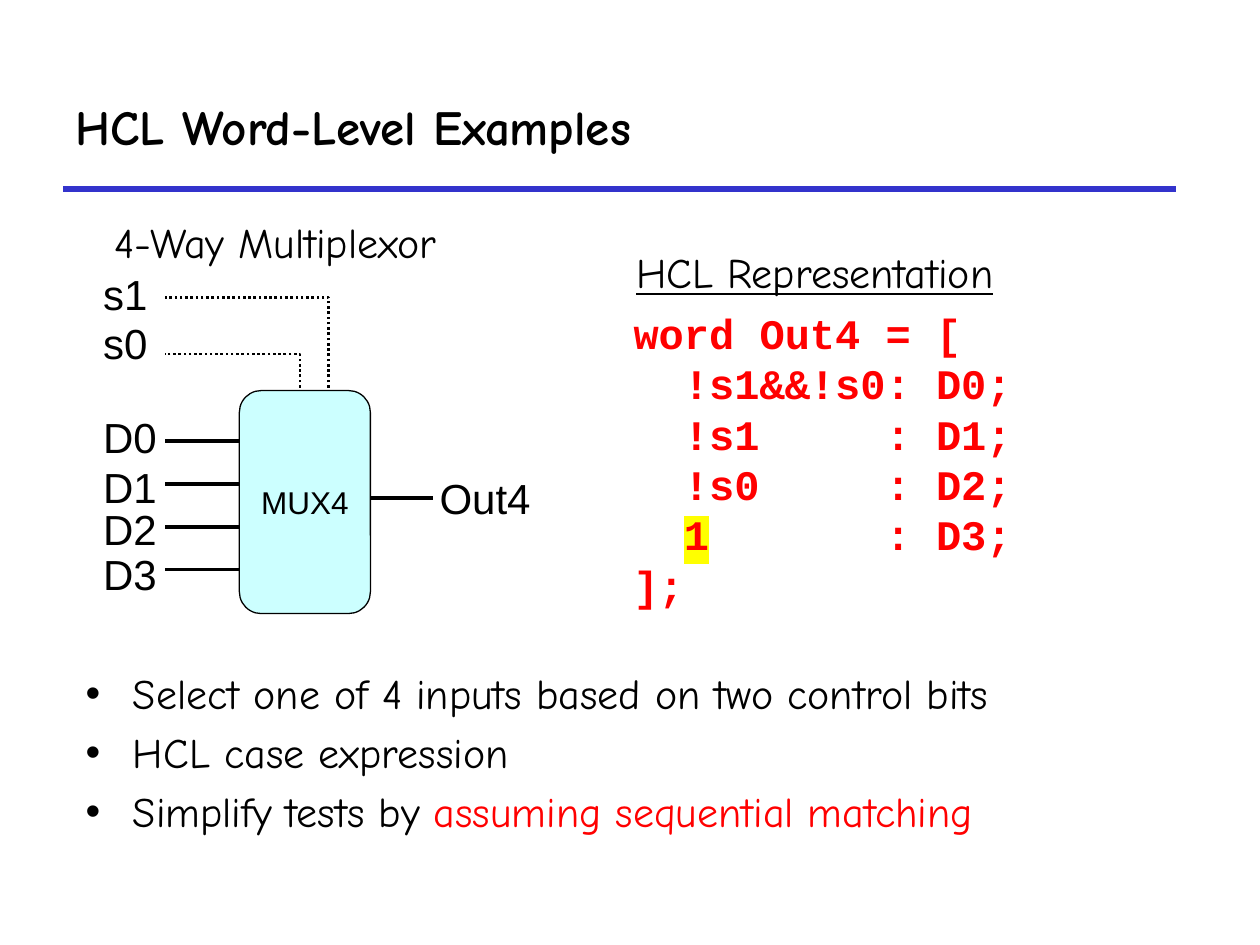
from dataclasses import dataclass

from lxml import etree
from pptx import Presentation
from pptx.dml.color import RGBColor
from pptx.enum.dml import MSO_LINE
from pptx.enum.shapes import MSO_CONNECTOR, MSO_SHAPE
from pptx.enum.text import MSO_ANCHOR, MSO_AUTO_SIZE, PP_ALIGN
from pptx.oxml.ns import qn
from pptx.util import Inches, Pt

STRAIGHT = MSO_CONNECTOR.STRAIGHT
ROUND_RECT = MSO_SHAPE.ROUNDED_RECTANGLE
DOTTED = MSO_LINE.ROUND_DOT
MIDDLE, TOP = MSO_ANCHOR.MIDDLE, MSO_ANCHOR.TOP
LEFT, CENTER = PP_ALIGN.LEFT, PP_ALIGN.CENTER
GROW, FIXED = MSO_AUTO_SIZE.SHAPE_TO_FIT_TEXT, MSO_AUTO_SIZE.NONE


@dataclass(frozen=True)
class Theme:
    ink: str = "000000"
    red: str = "FF0000"
    rule: str = "3333CC"
    block: str = "CCFFFF"
    marker: str = "FFFF00"
    hand: str = "Comic Neue"
    sans: str = "Arial"
    mono: str = "Courier New"
    title: int = 28
    text: int = 24
    small: int = 18


class Deck:
    """Holds the theme and the current slide."""

    def __init__(self, prs, theme):
        self.t = theme
        self.s = prs.slides.add_slide(prs.slide_layouts[1])

    def run(self, p, text, color=None, highlight=None, **fmt):
        r = p.add_run()
        r.text = text
        values = {"name": self.t.hand, "size": Pt(self.t.text), "bold": False, **fmt}
        for name, value in values.items():
            setattr(r.font, name, value)
        r.font.color.rgb = RGBColor.from_string(color or self.t.ink)
        if highlight:
            mark = etree.Element(qn("a:highlight"))
            etree.SubElement(mark, qn("a:srgbClr"), val=highlight)
            r.font.fill._xPr.find(qn("a:solidFill")).addnext(mark)

    def fill_frame(self, tf, lines, align=LEFT, **fmt):
        """Each line is a list of (text, format) runs."""
        for i, line in enumerate(lines):
            p = tf.paragraphs[0] if i == 0 else tf.add_paragraph()
            p.alignment = align
            if i == 0:
                p.space_before = Pt(0)
            for text, own in line:
                self.run(p, text, **{**fmt, **own})

    def placeholder(self, index, box, lines, anchor, **fmt):
        sp = self.s.placeholders[index]
        sp.left, sp.top, sp.width, sp.height = map(Inches, box)
        tf = sp.text_frame
        tf.auto_size, tf.vertical_anchor = FIXED, anchor
        self.fill_frame(tf, lines, **fmt)

    def text(self, box, lines, inset=0.1, **fmt):
        tf = self.s.shapes.add_textbox(*map(Inches, box)).text_frame
        tf.word_wrap, tf.auto_size = False, GROW
        tf.margin_left = tf.margin_right = Inches(inset)
        self.fill_frame(tf, lines, **fmt)

    def line(self, x1, y1, x2, y2, color, width):
        c = self.s.shapes.add_connector(STRAIGHT, *map(Inches, (x1, y1, x2, y2)))
        c.line.color.rgb = RGBColor.from_string(color)
        c.line.width = Pt(width)
        etree.SubElement(c._element.spPr, qn("a:effectLst"))

    def dotted_path(self, points):
        start, *rest = [(Inches(x), Inches(y)) for x, y in points]
        builder = self.s.shapes.build_freeform(*start)
        builder.add_line_segments(rest, close=False)
        sp = builder.convert_to_shape()
        sp.shadow.inherit = False
        sp.fill.background()
        sp.line.color.rgb = RGBColor.from_string(self.t.ink)
        sp.line.width, sp.line.dash_style = Pt(1.5), DOTTED

    def block(self, box, label):
        sp = self.s.shapes.add_shape(ROUND_RECT, *map(Inches, box))
        sp.shadow.inherit = False
        sp.fill.solid()
        sp.fill.fore_color.rgb = RGBColor.from_string(self.t.block)
        sp.line.color.rgb = RGBColor.from_string(self.t.ink)
        sp.line.width = Pt(0.75)
        tf = sp.text_frame
        tf.word_wrap, tf.vertical_anchor = False, MIDDLE
        self.fill_frame(tf, [[(label, {})]], CENTER,
                        name=self.t.sans, size=Pt(self.t.small))


def main():
    prs = Presentation()
    prs.slide_width, prs.slide_height = Inches(10), Inches(7.5)
    t = Theme()
    deck = Deck(prs, t)

    # Title and rule
    deck.placeholder(0, (0.5, 0.5, 8.83, 1), [[("HCL Word-Level Examples", {})]],
                     MIDDLE, size=Pt(t.title), bold=True)
    deck.line(0.5, 1.5, 9.33, 1.5, t.rule, 3)

    # Bullets
    bullets = [
        [("Select one of 4 inputs based on two control bits", {})],
        [("HCL case expression", {})],
        [("Simplify tests by ", {}),
         ("assuming sequential matching", {"color": t.red})],
    ]
    deck.placeholder(1, (0.58, 5.25, 8.58, 1.58), bullets, TOP)

    # Headings
    deck.text((0.86, 1.67, 3.06, 0.51), [[("4-Way Multiplexor", {})]], 0.05)
    deck.text((5, 1.91, 3.34, 0.51), [[("HCL Representation", {})]], 0.05,
              underline=True)

    # Multiplexor: wires, block and signal names
    label_x, wire_x, mux_x, mux_y, mux_w = 0.72, 1.31, 1.9, 3.1, 1.04
    for i in range(4):
        y = 3.5 + 0.34 * i
        deck.line(wire_x, y, mux_x, y, t.ink, 2.25)
    deck.line(mux_x + mux_w, 3.95, 3.44, 3.95, t.ink, 2.25)
    for x, y in ((2.38, 2.81), (2.61, 2.36)):
        deck.dotted_path([(x, mux_y + 0.06), (x, y), (wire_x, y)])
    deck.block((mux_x, mux_y, mux_w, 1.77), "MUX4")

    signals = [
        ("s1", label_x, 2.08, 0.57), ("s0", label_x, 2.47, 0.57),
        ("D0", label_x, 3.22, 0.64), ("D1", label_x, 3.61, 0.64),
        ("D2", label_x, 3.95, 0.64), ("D3", label_x, 4.3, 0.64),
        ("Out4", 3.39, 3.7, 0.94),
    ]
    for name, x, y, w in signals:
        deck.text((x, y, w, 0.51), [[(name, {})]], name=t.sans)

    # HCL code
    code = [
        [("word Out4 = [", {})],
        [("  !s1&&!s0: D0;", {})],
        [("  !s1     : D1;", {})],
        [("  !s0     : D2;", {})],
        [("  ", {}), ("1", {"highlight": t.marker}), ("       : D3;", {})],
        [("];", {})],
    ]
    deck.text((4.93, 2.39, 3.24, 2.53), code, name=t.mono, color=t.red, bold=True)

    prs.save("out.pptx")


if __name__ == "__main__":
    main()
